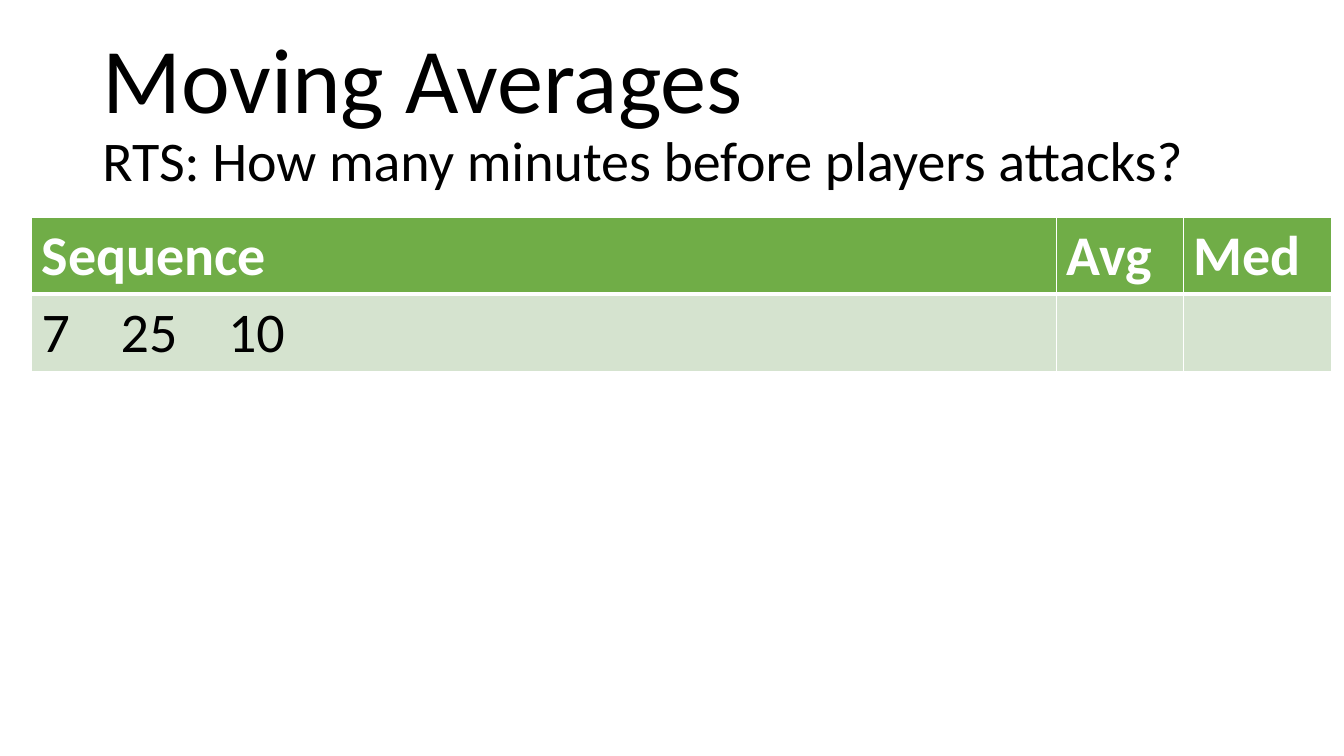
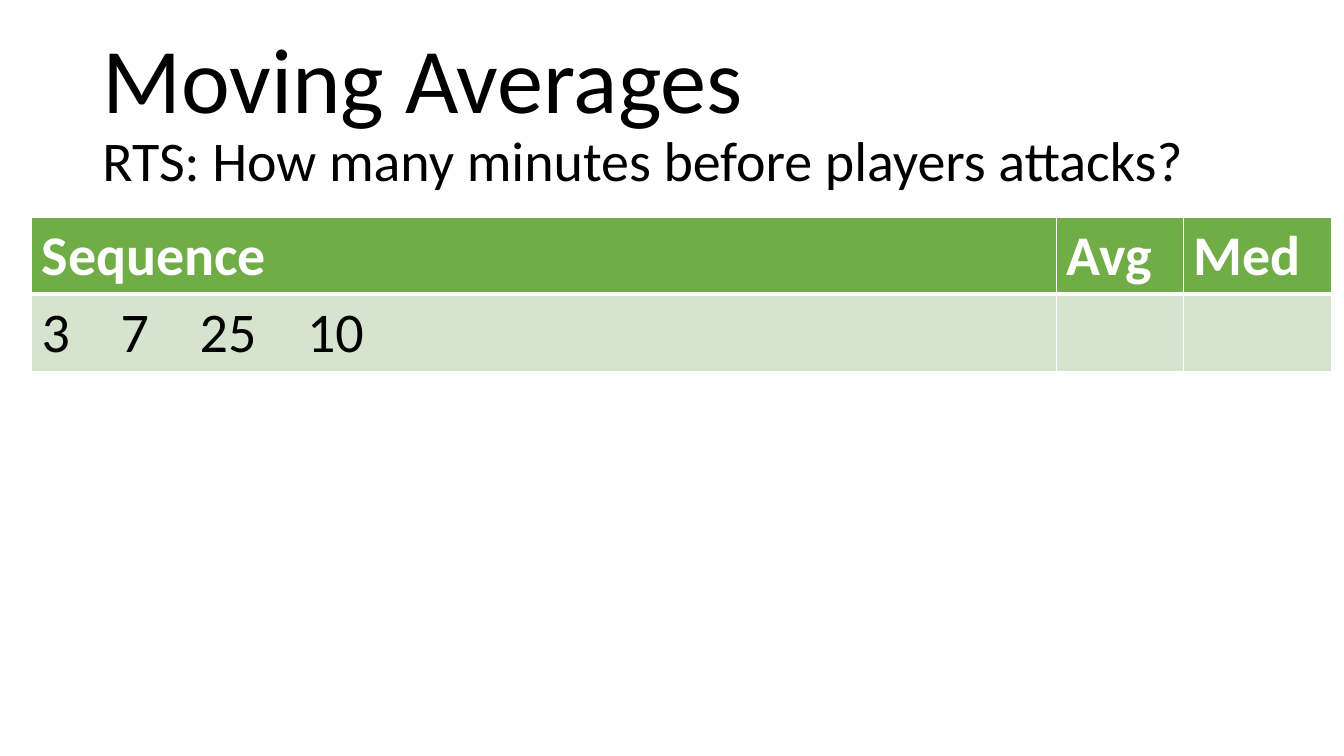
import pptx
import pptx.dml.color
import pptx.enum.text
import pptx.oxml.ns
import pptx.util
from lxml import etree

Pt = pptx.util.Pt
FONT = "Calibri"
SIZE = 40
COLORS = {"text": "000000", "head": "70AD47", "row": "D5E3CF", "line": "FFFFFF"}
COLS = {"Sequence": 732.2, "Avg": 90.7, "Med": 105.8}
ROW = 55.2
DIGIT, GAP = 20.27, 36.15  # widths in points at the table's text size


def color(name):
    return pptx.dml.color.RGBColor.from_string(COLORS[name])


def style(para, name, size=None, bold=False):
    font = para.font
    font.name, font.bold = FONT, bold
    font.color.rgb = color(name)
    if size:
        font.size = Pt(size)


def node(root, tag, **attrs):
    return etree.SubElement(root, pptx.oxml.ns.qn("a:" + tag), attrs)


# Title with a smaller second line
def add_title(slide, title, sub):
    box = slide.shapes.add_textbox(Pt(66), Pt(28.8), Pt(828), Pt(104.4))
    frame = box.text_frame
    frame.word_wrap = True
    frame.vertical_anchor = pptx.enum.text.MSO_ANCHOR.MIDDLE
    para = frame.paragraphs[0]
    para.line_spacing = 0.9
    style(para, "text")
    for text, size in ((title, 66), (sub, SIZE)):
        if para.runs:
            para.add_line_break()
        run = para.add_run()
        run.text = text
        run.font.size = Pt(size)


# Table cells: borders go before the fill
def add_edges(cell, **widths):
    props = cell._tc.get_or_add_tcPr()
    for side in "LRTB":
        line = node(props, "ln" + side, w=str(Pt(widths.get(side, 1))))
        node(node(line, "solidFill"), "srgbClr", val=COLORS["line"])


def paint(cell, name):
    cell.fill.solid()
    cell.fill.fore_color.rgb = color(name)


# One tab stop for each number after the first
def add_stops(para, nums):
    tabs = node(para._p.get_or_add_pPr(), "tabLst")
    pos = 0
    for num in nums[:-1]:
        pos += DIGIT * len(str(num)) + GAP
        node(tabs, "tab", pos=str(Pt(pos)), algn="l")


def add_grid(slide, nums):
    frame = slide.shapes.add_table(
        2, len(COLS), Pt(22.6), Pt(155), Pt(sum(COLS.values())), Pt(2 * ROW))
    table = frame.table
    for row in table.rows:
        row.height = Pt(ROW)
    for i, (name, width) in enumerate(COLS.items()):
        table.columns[i].width = Pt(width)
        head, body = table.cell(0, i), table.cell(1, i)
        add_edges(head, B=3)
        add_edges(body, T=3)
        paint(head, "head")
        paint(body, "row")
        head.text = name
        style(head.text_frame.paragraphs[0], "line", SIZE, True)
    seq = table.cell(1, 0)
    seq.text = "\t".join(map(str, nums))
    para = seq.text_frame.paragraphs[0]
    add_stops(para, nums)
    style(para, "text", SIZE)


def main():
    deck = pptx.Presentation()
    deck.slide_width, deck.slide_height = Pt(960), Pt(540)
    for nums in ([7, 25, 10], [3, 7, 25, 10]):
        slide = deck.slides.add_slide(deck.slide_layouts[6])
        add_title(slide, "Moving Averages",
                  "RTS: How many minutes before players attacks?")
        add_grid(slide, nums)
    deck.save("out.pptx")


if __name__ == "__main__":
    main()
